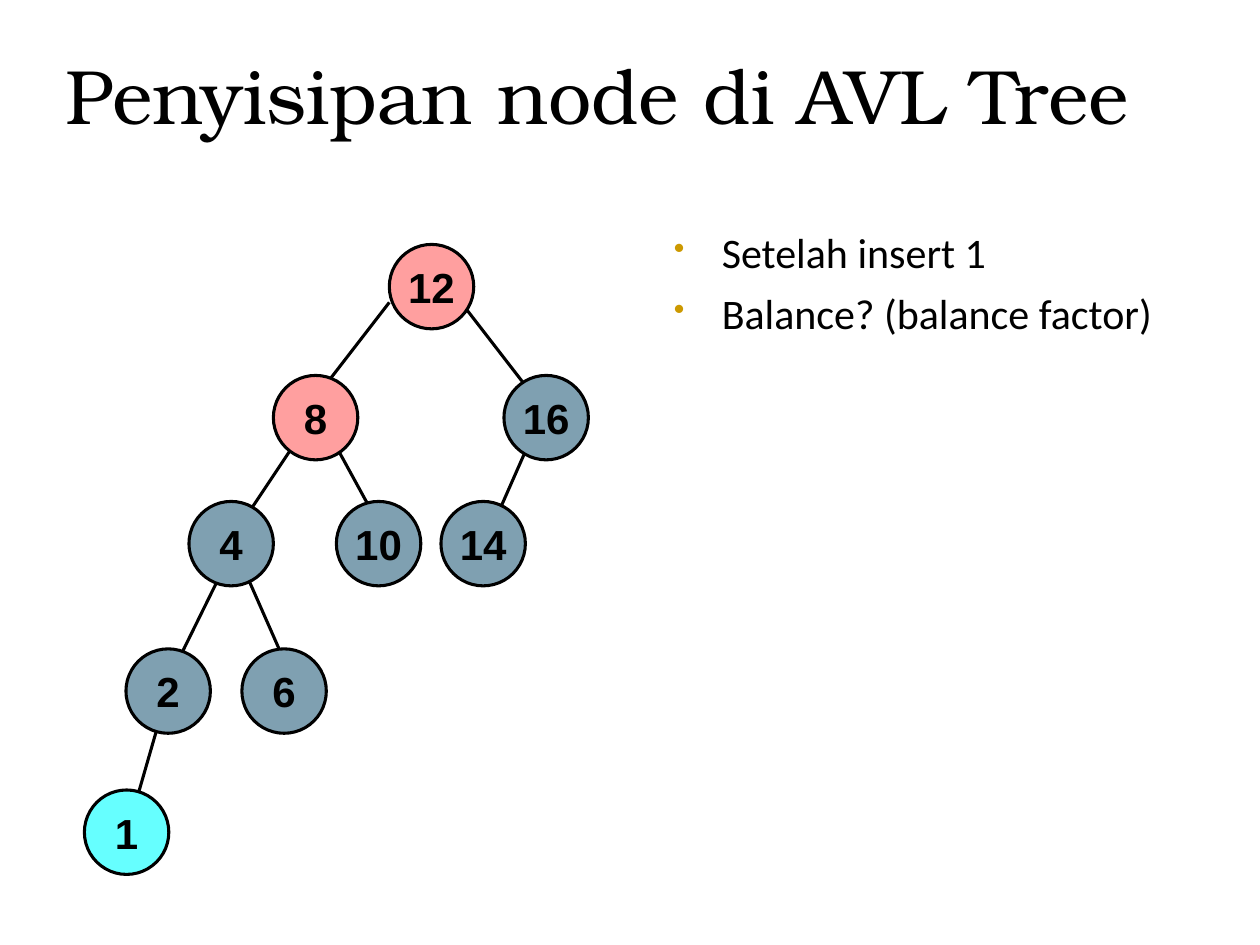
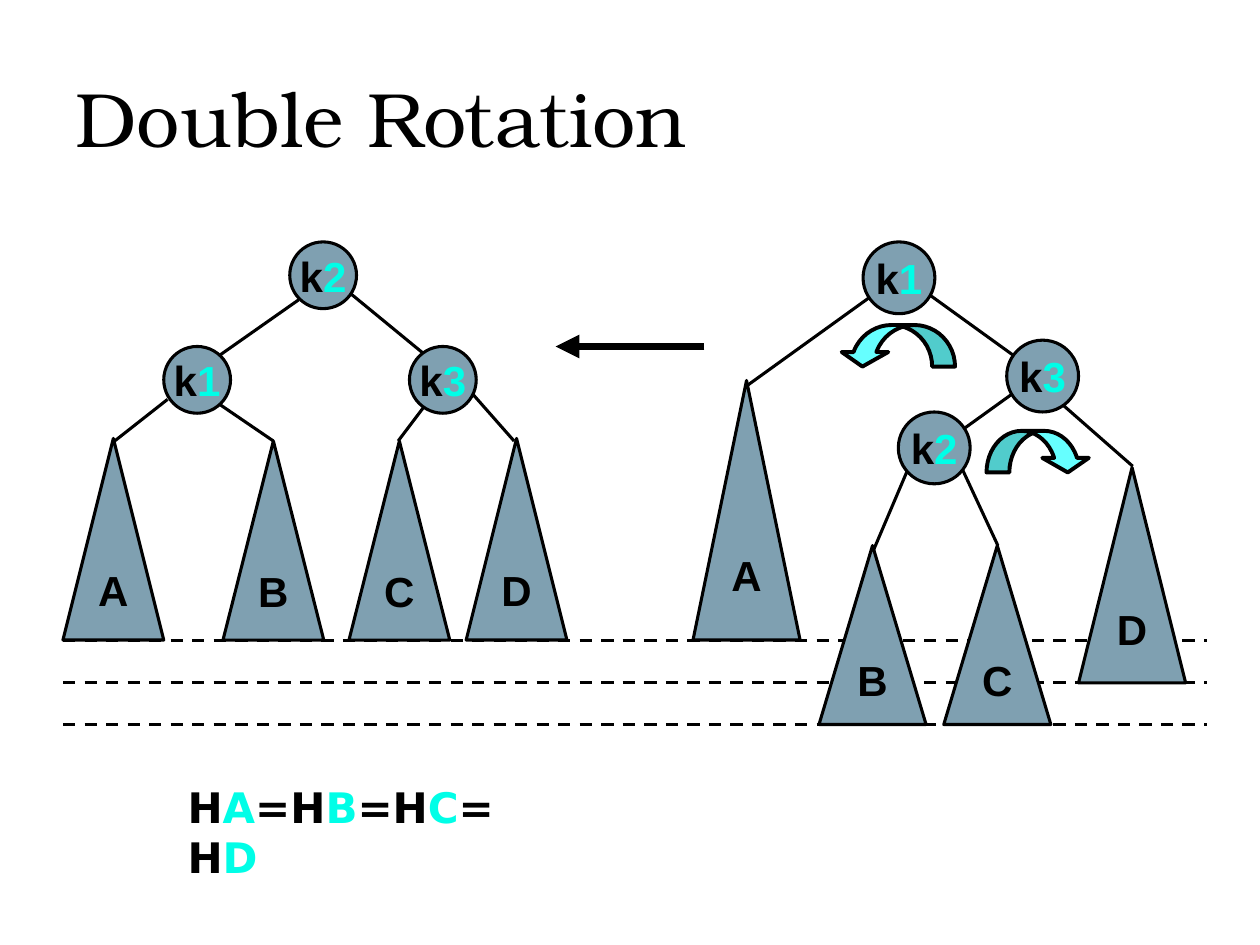
from lxml import etree
from pptx import Presentation
from pptx.dml.color import RGBColor
from pptx.enum.dml import MSO_LINE
from pptx.enum.shapes import MSO_CONNECTOR, MSO_SHAPE
from pptx.enum.text import MSO_ANCHOR, PP_ALIGN
from pptx.oxml.ns import qn
from pptx.util import Inches, Pt

COLORS = {
    "ink": "000000",
    "node": "7FA0B1",
    "unbalanced": "FF9F9F",
    "new": "66FFFF",
    "accent": "00FEE7",
    "bullet": "CC9900",
}
TITLE_FONT, BODY_FONT, NODE_FONT, FORMULA_FONT = (
    "TeX Gyre Bonum", "Calibri", "Arial", "DejaVu Sans")


def rgb(name):
    return RGBColor.from_string(COLORS[name])


def box(*lengths):
    return [Inches(v) for v in lengths]


class Deck:
    def __init__(self):
        self.prs = Presentation()
        self.prs.slide_width, self.prs.slide_height = box(10, 7.5)
        self.s = None

    def slide(self, title, left, top):
        self.s = self.prs.slides.add_slide(self.prs.slide_layouts[6])
        tf = self.text_box(left, top, 9, 1.25)
        tf.vertical_anchor = MSO_ANCHOR.MIDDLE
        self.set_text(tf.paragraphs[0], title, TITLE_FONT, 44)

    def set_text(self, p, text, font, size=24, bold=False):
        """Fill a paragraph; every second part between bars is accented."""
        p.font.name, p.font.size, p.font.bold = font, Pt(size), bold
        p.font.color.rgb = rgb("ink")
        for i, part in enumerate(text.split("|")):
            r = p.add_run()
            r.text = part
            if i % 2:
                r.font.color.rgb = rgb("accent")

    def text_box(self, *place):
        tf = self.s.shapes.add_textbox(*box(*place)).text_frame
        tf.word_wrap = True
        return tf

    def bullets(self, items, *place):
        tf = self.text_box(*place)
        for i, item in enumerate(items):
            p = tf.add_paragraph() if i else tf.paragraphs[0]
            p.space_before = Pt(6)
            self.set_text(p, item, BODY_FONT)
            pPr = p._p.get_or_add_pPr()
            pPr.set("marL", str(Inches(0.38)))
            pPr.set("indent", str(Inches(-0.38)))
            color = etree.Element(qn("a:buClr"))
            etree.SubElement(color, qn("a:srgbClr"), val=COLORS["bullet"])
            marks = [color,
                     etree.Element(qn("a:buSzPct"), val="75000"),
                     etree.Element(qn("a:buChar"), char="•")]
            for mark in marks:
                pPr.find(qn("a:defRPr")).addprevious(mark)

    def line(self, x1, y1, x2, y2, width=1.75, dash=None, arrow=False):
        cn = self.s.shapes.add_connector(
            MSO_CONNECTOR.STRAIGHT, *box(x1, y1, x2, y2))
        cn.line.color.rgb = rgb("ink")
        cn.line.width = Pt(width)
        if dash:
            cn.line.dash_style = dash
        if arrow:
            etree.SubElement(cn._element.spPr.find(qn("a:ln")),
                             qn("a:tailEnd"), type="triangle")
        etree.SubElement(cn._element.spPr, qn("a:effectLst"))

    def lines(self, ends):
        for end in ends:
            self.line(*end)

    def shape(self, kind, place, fill, width=1.75):
        sp = self.s.shapes.add_shape(kind, *box(*place))
        sp.shadow.inherit = False
        sp.fill.solid()
        sp.fill.fore_color.rgb = rgb(fill)
        sp.line.color.rgb = rgb("ink")
        sp.line.width = Pt(width)
        return sp

    def labelled(self, kind, text, place, fill):
        tf = self.shape(kind, place, fill).text_frame
        tf.word_wrap = False
        tf.vertical_anchor = MSO_ANCHOR.MIDDLE
        p = tf.paragraphs[0]
        p.alignment = PP_ALIGN.CENTER
        self.set_text(p, text, NODE_FONT, bold=True)

    def node(self, text, left, top, size, fill="node"):
        self.labelled(MSO_SHAPE.OVAL, text, (left, top, size, size), fill)

    def subtree(self, text, left, top, width, base):
        self.labelled(MSO_SHAPE.ISOSCELES_TRIANGLE, text,
                      (left, top, width, base - top), "node")

    def turn(self, *place, to_left=False):
        """Draw the curved arrow that marks a rotation."""
        sp = self.shape(MSO_SHAPE.CURVED_DOWN_ARROW, place, "new", 2.25)
        for i, value in enumerate((0.55, 1.12, 0.35)):
            sp.adjustments[i] = value
        if to_left:
            sp._element.spPr.find(qn("a:xfrm")).set("flipH", "1")


def insertion_slide(deck):
    deck.slide("Penyisipan node di AVL Tree", 0.42, 0.12)
    deck.bullets(["Setelah insert 1", "Balance? (balance factor)"],
                 5.25, 1.75, 4.25, 4.95)
    deck.lines([
        (1.25, 5.77, 1.08, 6.36), (4.25, 3.4, 3.92, 4.15),
        (1.92, 4.48, 2.25, 5.23), (2.59, 3.4, 3, 4.15),
        (1.75, 4.56, 1.42, 5.23), (2.42, 3.4, 1.92, 4.15),
        (3.59, 2.31, 4.17, 3.06), (3.09, 2.4, 2.58, 3.06),
    ])
    levels = [
        (1.94, [("12", 3.09, "unbalanced")]),
        (2.98, [("8", 2.17, "unbalanced"), ("16", 4, "node")]),
        (3.98, [("4", 1.5, "node"), ("10", 2.67, "node"),
                ("14", 3.5, "node")]),
        (5.15, [("2", 1, "node"), ("6", 1.92, "node")]),
        (6.27, [("1", 0.67, "new")]),
    ]
    for top, nodes in levels:
        for key, left, fill in nodes:
            deck.node(key, left, top, 0.67, fill)


def rotation_slide(deck):
    deck.slide("Double Rotation", 0.5, 0.3)
    upper, middle, lower = 5.08, 5.42, 5.75
    for level in (lower, middle, upper):
        deck.line(0.5, level, 9.58, level, dash=MSO_LINE.DASH)

    before_edges = [
        (8.07, 2.84, 7.28, 2.27), (7.64, 3.41, 8.14, 3.05),
        (6.93, 2.34, 5.93, 3.06), (7.28, 3.55, 6.91, 4.42),
        (8.99, 3.7, 8.42, 3.2), (7.58, 3.6, 7.92, 4.33),
    ]
    before_subtrees = [("A", 5.5, 3.02, upper), ("B", 6.5, 4.33, lower),
                       ("C", 7.49, 4.33, lower), ("D", 8.56, 3.71, middle)]
    before_nodes = [("k|1", 6.85, 1.92), ("k|3", 7.99, 2.7),
                    ("k|2", 7.13, 3.27)]
    after_edges = [
        (2.37, 2.38, 1.7, 2.85), (2.17, 3.5, 1.7, 3.18),
        (1.33, 3.17, 0.91, 3.5), (3.5, 3.05, 3.16, 3.5),
        (4.08, 3.5, 3.56, 2.91), (2.77, 2.32, 3.5, 2.92),
    ]
    after_subtrees = [("A", 0.5, 3.48, upper), ("B", 1.77, 3.5, upper),
                      ("C", 2.77, 3.5, upper), ("D", 3.7, 3.48, upper)]
    after_nodes = [("k|2", 2.3, 1.92), ("k|1", 1.3, 2.75),
                   ("k|3", 3.25, 2.75)]
    trees = [(before_edges, before_subtrees, 0.85, before_nodes, 0.57),
             (after_edges, after_subtrees, 0.8, after_nodes, 0.53)]
    for edges, subtrees, width, nodes, size in trees:
        deck.lines(edges)
        for name, left, top, base in subtrees:
            deck.subtree(name, left, top, width, base)
        for name, left, top in nodes:
            deck.node(name, left, top, size)

    deck.line(5.59, 2.75, 4.41, 2.75, width=4.5, arrow=True)
    deck.turn(6.66, 2.58, 0.92, 0.33, to_left=True)
    deck.turn(7.83, 3.42, 0.83, 0.33)
    tf = deck.text_box(1.39, 6.15, 2.7, 0.9)
    deck.set_text(tf.paragraphs[0], "H|A|=H|B|=H|C|=H|D", FORMULA_FONT,
                  bold=True)


def main():
    deck = Deck()
    insertion_slide(deck)
    rotation_slide(deck)
    deck.prs.save("out.pptx")


if __name__ == "__main__":
    main()
